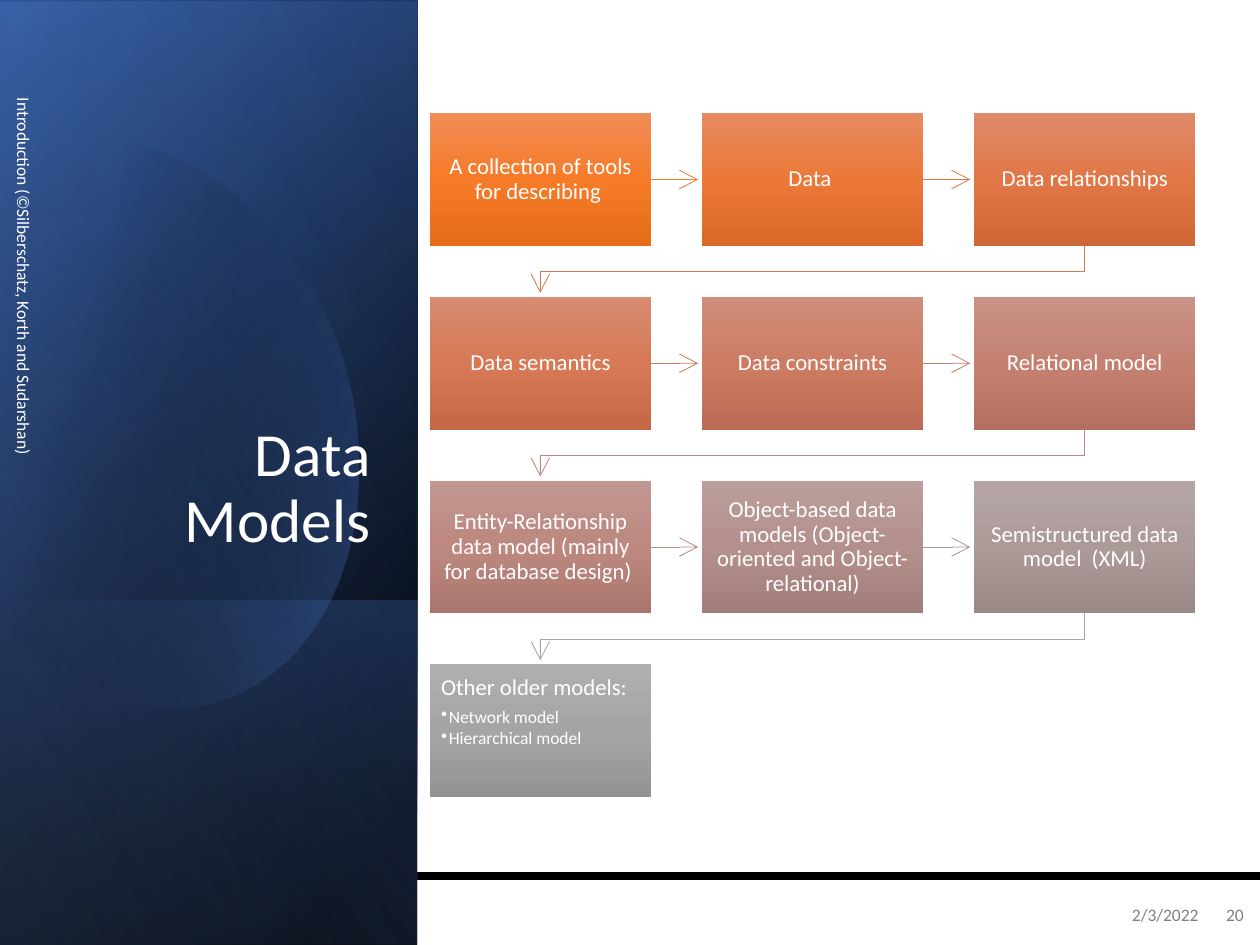
"""Build the Data Models slide: a dark title panel beside a snaking chain of boxes."""
from lxml import etree
from pptx import Presentation
from pptx.dml.color import RGBColor
from pptx.enum import shapes as kinds, text as styles
from pptx.oxml import ns
from pptx.util import Pt

WHITE = RGBColor(0xFF, 0xFF, 0xFF)
BLACK = RGBColor(0, 0, 0)
GREY = RGBColor(0x80, 0x80, 0x80)
NAVY = RGBColor(0x2F, 0x55, 0x97)
BLUE = RGBColor(0x44, 0x72, 0xC4)
PALE_BLUE = RGBColor(0x8F, 0xAA, 0xDC)
LEFT, CENTER, RIGHT = styles.PP_ALIGN.LEFT, styles.PP_ALIGN.CENTER, styles.PP_ALIGN.RIGHT
TOP, MIDDLE, BOTTOM = styles.MSO_ANCHOR.TOP, styles.MSO_ANCHOR.MIDDLE, styles.MSO_ANCHOR.BOTTOM


def write(frame, content, size=10, color=WHITE, align=LEFT, anchor=MIDDLE,
          spacing=1.0, after=6, inset=None, bullet=False, more=False):
    frame.word_wrap = True
    frame.auto_size = styles.MSO_AUTO_SIZE.NONE
    frame.vertical_anchor = anchor
    if inset is not None:
        frame.margin_left = frame.margin_right = Pt(inset)
        frame.margin_top = frame.margin_bottom = Pt(inset)
    paragraph = frame.add_paragraph() if more else frame.paragraphs[0]
    if bullet:
        paragraph.level = 1
        properties = paragraph._p.get_or_add_pPr()
        properties.set("marL", str(Pt(4.5)))
        properties.set("indent", str(Pt(-4.5)))
        etree.SubElement(properties, ns.qn("a:buChar"), char="•")
    paragraph.alignment = align
    paragraph.line_spacing = spacing
    paragraph.space_before = Pt(0)
    paragraph.space_after = Pt(after)
    run = paragraph.add_run()
    run.text = content
    run.font.name = "Calibri"
    run.font.size = Pt(size)
    run.font.color.rgb = color


def shade(shape, stops, angle):
    shape.shadow.inherit = False
    shape.line.fill.background()
    gradient = etree.Element(ns.qn("a:gradFill"), rotWithShape="1")
    stop_list = etree.SubElement(gradient, ns.qn("a:gsLst"))
    for position, color, opacity in stops:
        stop = etree.SubElement(stop_list, ns.qn("a:gs"), pos=str(position * 1000))
        tone = etree.SubElement(stop, ns.qn("a:srgbClr"), val=str(color))
        if opacity < 100:
            etree.SubElement(tone, ns.qn("a:alpha"), val=str(opacity * 1000))
    etree.SubElement(gradient, ns.qn("a:lin"), ang=str(angle * 60000), scaled="0")
    shape._element.spPr.insert(2, gradient)


deck = Presentation()
deck.slide_width, deck.slide_height = Pt(720), Pt(540)
slide = deck.slides.add_slide(deck.slide_layouts[5])
canvas = slide.shapes

footer_rule = canvas.add_connector(
    kinds.MSO_CONNECTOR.STRAIGHT, Pt(0), Pt(500.6), Pt(720), Pt(500.6))
footer_rule.line.color.rgb = BLACK
footer_rule.line.width = Pt(4.5)
etree.SubElement(footer_rule._element.spPr, ns.qn("a:effectLst"))

outline = [
    ((0.96, 1.14), (1.71, 1.22), (2.44, 1.92), (2.73, 2.9)),
    ((2.73, 2.9), (3.07, 4.12), (2.62, 5.31), (1.71, 5.57)),
    ((1.71, 5.57), (1.14, 5.74), (0.53, 5.5), (0.07, 5)),
    ((0.07, 5), (-0.03, 4.88), (-0.25, 1.66), (-0.15, 1.54)),
    ((-0.15, 1.54), (0.02, 1.37), (0.22, 1.25), (0.45, 1.18)),
    ((0.45, 1.18), (0.62, 1.13), (0.79, 1.12), (0.96, 1.14)),
]
glow_points = []
for curve in outline:
    for step in range(1, 17):
        t = step / 16
        weights = ((1 - t) ** 3, 3 * t * (1 - t) ** 2, 3 * t * t * (1 - t), t ** 3)
        glow_points.append([Pt(72 * sum(w * point[axis] for w, point in zip(weights, curve)))
                            for axis in (0, 1)])

panels = [
    (-150.8, 150.8, 540, [(8, BLACK, 100), (100, NAVY, 100)], 50),
    (-150.8, 151.8, 540, [(0, BLACK, 0), (99, BLUE, 46)], 30),
    (20.7, 322.3, 197, [(2, BLUE, 29), (100, BLACK, 30)], 130),
    (-150.8, 150.8, 540, [(0, BLACK, 0), (99, PALE_BLUE, 11)], 120),
]
for number, (left, top, length, stops, angle) in enumerate(panels):
    if number == 3:
        glow_builder = canvas.build_freeform(*glow_points[-1], scale=1.0)
        glow_builder.add_line_segments(glow_points[:-1], close=True)
        shade(glow_builder.convert_to_shape(), [(29, BLACK, 0), (100, BLUE, 43)], 14)
    panel = canvas.add_shape(kinds.MSO_SHAPE.RECTANGLE, Pt(left), Pt(top), Pt(length), Pt(238.4))
    panel.rotation = 90
    panel._element.spPr.xfrm.set("flipH", "1")
    shade(panel, stops, angle)

title = canvas.title
title.left, title.top, title.width, title.height = Pt(34.6), Pt(132.5), Pt(184.3), Pt(188.6)
write(title.text_frame, "Data Models", size=35, align=RIGHT, anchor=BOTTOM, spacing=0.9, after=0)
title.element.getparent().append(title.element)

captions = [
    (-108, 156.2, 243.4, 90, "Introduction (©Silberschatz, Korth and Sudarshan)", WHITE, LEFT),
    (529.9, 508.3, 162, 0, "2/3/2022", GREY, RIGHT),
    (691.2, 508.3, 26.6, 0, "20", GREY, RIGHT),
]
for left, top, width, turn, content, color, align in captions:
    caption = canvas.add_textbox(Pt(left), Pt(top), Pt(width), Pt(28.8))
    caption.rotation = turn
    write(caption.text_frame, content, color=color, align=align)

steps = [
    ("A collection of tools for describing ", "F18C57 F67B28 E56C19", "ED7D31"),
    ("Data ", "E88A5F EB7838 DA6828", "E27A42"),
    ("Data relationships", "DF8A68 E17747 D06737", "D87A51"),
    ("Data semantics", "D78B72 D77956 C66846", "CE7C61"),
    ("Data constraints", "CF8E7C CD7C64 BC6B54", "C48170"),
    ("Relational model", "C89287 C48172 B37061", "BC877E"),
    ("Entity-Relationship data model (mainly for database design) ",
     "C19791 BC8880 AA766E", "B4908B"),
    ("Object-based data models (Object-oriented and Object-relational)",
     "BA9E9B B4908D A27E7B", "AC9A99"),
    ("Semistructured data model  (XML)", "B5A6A5 AC9A99 9A8887", "A5A5A5"),
    ("Other older models:", "AFAFAF A5A5A5 939393", None),
]
BOX_WIDTH, BOX_HEIGHT = 126.5, 75.8
FIRST_LEFT, FIRST_TOP, COLUMN_STEP, ROW_STEP = 245.5, 64.7, 155.5, 105
for number, (content, tones, arrow_color) in enumerate(steps):
    row, column = divmod(number, 3)
    left, top = FIRST_LEFT + column * COLUMN_STEP, FIRST_TOP + row * ROW_STEP
    right, bottom = left + BOX_WIDTH, top + BOX_HEIGHT
    box = canvas.add_shape(kinds.MSO_SHAPE.RECTANGLE,
                           Pt(left), Pt(top), Pt(BOX_WIDTH), Pt(BOX_HEIGHT))
    shade(box, [(position, RGBColor.from_string(tone), 100)
                for position, tone in zip((0, 50, 100), tones.split())], 90)
    last = arrow_color is None
    write(box.text_frame, content, size=13, align=LEFT if last else CENTER,
          anchor=TOP if last else MIDDLE, spacing=0.9, after=4.5, inset=6.5)
    if last:
        for model in ("Network model", "Hierarchical model"):
            write(box.text_frame, model, anchor=TOP, spacing=0.9, after=1.5,
                  bullet=True, more=True)
        continue
    if column < 2:
        middle = top + BOX_HEIGHT / 2
        arrow = canvas.add_connector(kinds.MSO_CONNECTOR.STRAIGHT,
                                     Pt(right), Pt(middle), Pt(right + 27), Pt(middle))
        arrow.begin_connect(box, 3)
    else:
        start, end = left + BOX_WIDTH / 2, FIRST_LEFT + BOX_WIDTH / 2
        turn_builder = canvas.build_freeform(Pt(start), Pt(bottom), scale=1.0)
        turn_builder.add_line_segments(
            [(Pt(start), Pt(bottom + 14.7)), (Pt(end), Pt(bottom + 14.7)),
             (Pt(end), Pt(bottom + 26.8))], close=False)
        arrow = turn_builder.convert_to_shape()
        arrow.fill.background()
    arrow.line.color.rgb = RGBColor.from_string(arrow_color)
    arrow.line.width = Pt(0.5)
    etree.SubElement(arrow.line._get_or_add_ln(), ns.qn("a:tailEnd"),
                     type="arrow", w="lg", len="lg")
    etree.SubElement(arrow._element.spPr, ns.qn("a:effectLst"))

deck.save("out.pptx")
